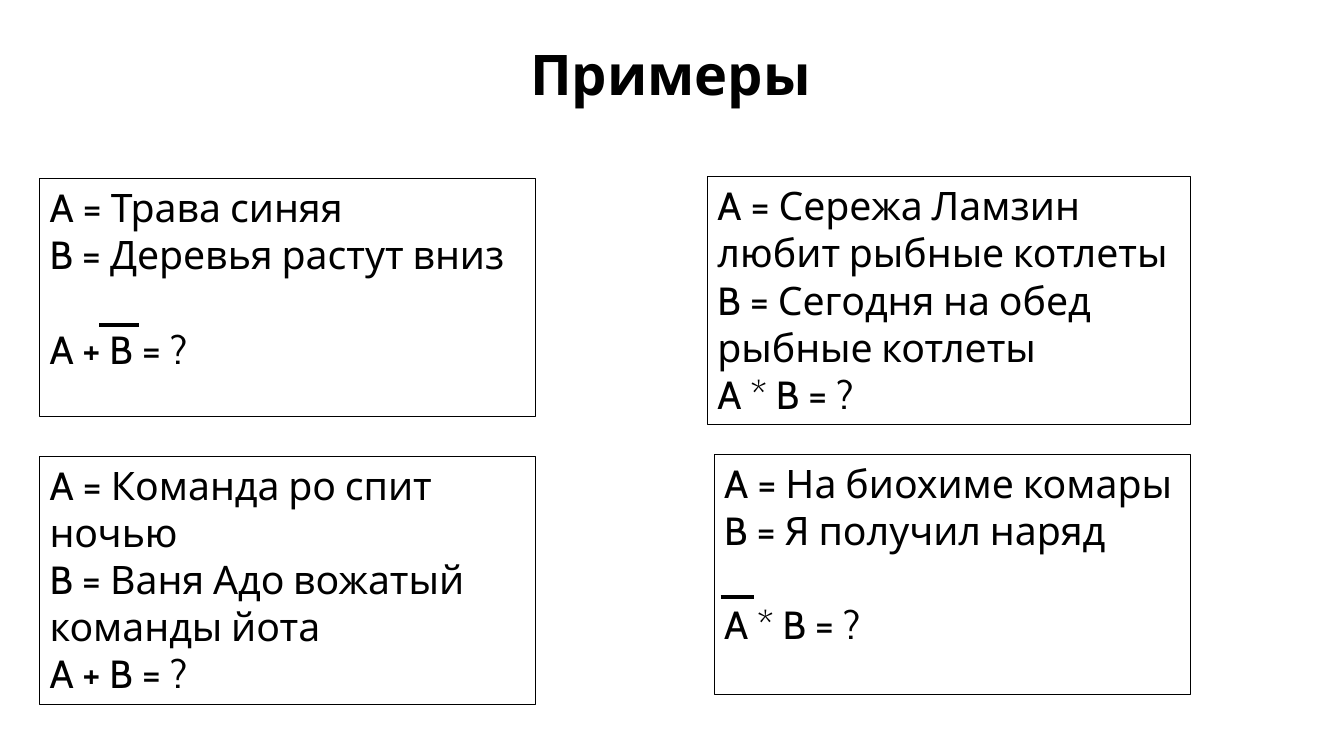
from dataclasses import dataclass

from lxml import etree
from pptx import Presentation
from pptx import util as u
from pptx.dml.color import RGBColor
from pptx.enum import shapes, text
from pptx.oxml import ns

COLOURS = {"ink": "000000", "paper": "FFFFFF"}
FONT = "Cabin"
BODY_SIZE = 28
BLANK_LINE = 33.6
INSET_X, INSET_Y = 0.25, 0.13


@dataclass(frozen=True)
class Example:
    left: float
    top: float
    width: float
    height: float
    statements: tuple[str, ...]
    question: str
    gap: float = 0


@dataclass(frozen=True)
class NegationBar:
    left: float
    right: float
    top: float


EXAMPLES = (
    Example(1, 4.5, 12.5, 6,
            ("A = Трава синяя", "B = Деревья растут вниз"),
            "A + B = ?", BLANK_LINE),
    Example(17.83, 4.45, 12.17, 6.25,
            ("A = Сережа Ламзин любит рыбные котлеты",
             "B = Сегодня на обед рыбные котлеты"),
            "A * B = ?"),
    Example(1, 11.5, 12.5, 6.25,
            ("A = Команда ро спит ночью",
             "B = Ваня Адо вожатый команды йота"),
            "A + B = ?"),
    Example(18, 11.45, 12, 6.05,
            ("A = На биохиме комары", "B = Я получил наряд"),
            "A * B = ?", BLANK_LINE),
)
NEGATION_BARS = (
    NegationBar(2.5, 3.5, 8.2),
    NegationBar(18.16, 19, 15.04),
)


def colour(name: str) -> RGBColor:
    return RGBColor.from_string(COLOURS[name])


def prepare_frame(shape, anchor, inset_x: float = 0, inset_y: float = 0):
    frame = shape.text_frame
    frame.word_wrap = True
    frame.vertical_anchor = anchor
    frame.margin_left = frame.margin_right = u.Cm(inset_x)
    frame.margin_top = frame.margin_bottom = u.Cm(inset_y)
    return frame


def write(paragraph, content: str, size: float, alignment, bold: bool = False) -> None:
    paragraph.alignment = alignment
    run = paragraph.add_run()
    run.text = content
    run.font.name = FONT
    run.font.size = u.Pt(size)
    run.font.bold = bold
    run.font.color.rgb = colour("ink")


def draw_title(slide, content: str) -> None:
    shape = slide.shapes.add_textbox(u.Cm(2.29), u.Cm(0), u.Cm(29.21), u.Cm(3.68))
    frame = prepare_frame(shape, text.MSO_ANCHOR.MIDDLE)
    write(frame.paragraphs[0], content, 40, text.PP_ALIGN.CENTER, bold=True)


def draw_example(slide, example: Example) -> None:
    shape = slide.shapes.add_shape(
        shapes.MSO_SHAPE.RECTANGLE, u.Cm(example.left), u.Cm(example.top),
        u.Cm(example.width), u.Cm(example.height))
    shape.shadow.inherit = False
    shape.fill.background()
    shape.line.color.rgb = colour("ink")
    shape.line.width = u.Pt(0)
    frame = prepare_frame(shape, text.MSO_ANCHOR.TOP, INSET_X, INSET_Y)
    for index, content in enumerate((*example.statements, example.question)):
        paragraph = frame.add_paragraph() if index else frame.paragraphs[0]
        write(paragraph, content, BODY_SIZE, text.PP_ALIGN.LEFT)
    if example.gap:
        paragraph.space_before = u.Pt(example.gap)


def draw_negation_bar(slide, bar: NegationBar) -> None:
    connector = slide.shapes.add_connector(
        shapes.MSO_CONNECTOR.STRAIGHT, u.Cm(bar.left), u.Cm(bar.top),
        u.Cm(bar.right), u.Cm(bar.top))
    connector.line.color.rgb = colour("ink")
    connector.line.width = u.Pt(3)
    etree.SubElement(connector._element.spPr, ns.qn("a:effectLst"))


def main() -> None:
    presentation = Presentation()
    presentation.slide_width = u.Cm(33.87)
    presentation.slide_height = u.Cm(19.05)
    slide = presentation.slides.add_slide(presentation.slide_layouts[6])
    slide.background.fill.solid()
    slide.background.fill.fore_color.rgb = colour("paper")
    draw_title(slide, "Примеры")
    for example in EXAMPLES:
        draw_example(slide, example)
    for bar in NEGATION_BARS:
        draw_negation_bar(slide, bar)
    presentation.save("out.pptx")


if __name__ == "__main__":
    main()
